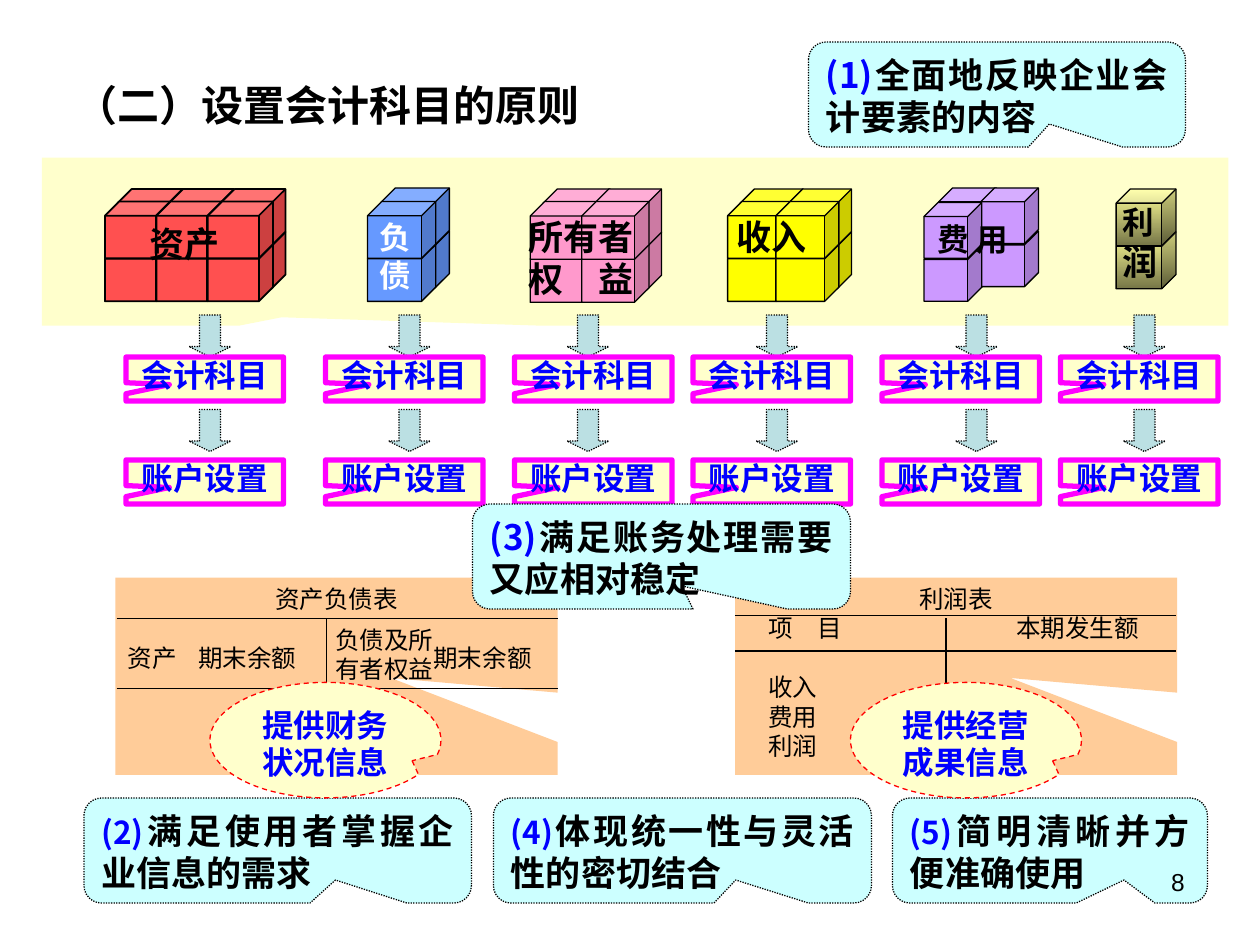
import pptx
import pptx.dml.color
import pptx.enum.dml
import pptx.enum.shapes
import pptx.enum.text
import pptx.oxml.ns
import pptx.util
from lxml import etree

SHAPE = pptx.enum.shapes.MSO_SHAPE
ALIGN = pptx.enum.text.PP_ALIGN
DASH = pptx.enum.dml.MSO_LINE
qn = pptx.oxml.ns.qn

COLORS = {
    "black": "000000", "white": "FFFFFF", "blue": "0000FF", "red": "FF0000",
    "magenta": "FF00FF", "cream": "FFFFCC", "aqua": "CCFFFF", "teal": "BBE0E3",
    "peach": "FFCC99", "coral": "FF5050", "sky": "6699FF", "pink": "FF99CC",
    "yellow": "FFFF00", "violet": "CC99FF", "straw": "FFFF99", "olive": "767647",
}
SANS, SERIF, CJK = "Arial", "Times New Roman", "Noto Sans CJK SC"


def color(name):
    return pptx.dml.color.RGBColor.from_string(COLORS[name])


class Board:
    """Slide on a grid of 120 columns by 90 rows."""

    def __init__(self, deck):
        self.page = deck.slides.add_slide(deck.slide_layouts[6])
        self.column = deck.slide_width / 120
        self.row = deck.slide_height / 90

    def place(self, left, top, width, height):
        return (round(left * self.column), round(top * self.row),
                round(width * self.column), round(height * self.row))

    def shape(self, kind, area, fill, line=None, weight=0.75, dash=None, adjust=()):
        shape = self.page.shapes.add_shape(kind, *self.place(*area))
        shape.shadow.inherit = False
        for index, value in enumerate(adjust):
            shape.adjustments[index] = value
        if isinstance(fill, tuple):
            shape.fill.gradient()
            shape.fill.gradient_angle = 270
            for stop, name in zip(shape.fill.gradient_stops, fill):
                stop.color.rgb = color(name)
        else:
            shape.fill.solid()
            shape.fill.fore_color.rgb = color(fill)
        if line:
            shape.line.color.rgb = color(line)
            shape.line.width = pptx.util.Pt(weight)
            if dash:
                shape.line.dash_style = dash
        else:
            shape.line.fill.background()
        return shape

    def style(self, span, size, font=SANS, ink="black", bold=True):
        span.font.size = pptx.util.Pt(size)
        span.font.name = font
        span.font.bold = bold
        span.font.color.rgb = color(ink)
        etree.SubElement(span.font._element, qn("a:ea"), typeface=CJK)

    def fill_text(self, box, text, *style, align=ALIGN.CENTER, spacing=None):
        frame = box.text_frame
        frame.word_wrap = True
        frame.vertical_anchor = pptx.enum.text.MSO_ANCHOR.TOP
        frame.text = text
        for para in frame.paragraphs:
            para.alignment = align
            if spacing:
                para.line_spacing = spacing
            for span in para.runs:
                self.style(span, *style)
        return frame

    def label(self, area, text, *style, align=ALIGN.CENTER):
        box = self.page.shapes.add_textbox(*self.place(*area))
        return self.fill_text(box, text, *style, align=align)

    def rule(self, left, top, right, bottom):
        start, end = self.place(left, top, 0, 0), self.place(right, bottom, 0, 0)
        line = self.page.shapes.add_connector(
            pptx.enum.shapes.MSO_CONNECTOR.STRAIGHT, *start[:2], *end[:2])
        line.line.color.rgb = color("black")
        line.line.width = pptx.util.Pt(0.75)
        etree.SubElement(line._element.spPr, qn("a:effectLst"))

    def principle(self, area, number, text, tail, size=18):
        box = self.shape(SHAPE.ROUNDED_RECTANGULAR_CALLOUT, area, "aqua", "black",
                         dash=DASH.ROUND_DOT, adjust=(tail, 0.281, 0.167))
        frame = self.fill_text(box, number, size, CJK, "blue", align=ALIGN.JUSTIFY)
        span = frame.paragraphs[0].add_run()
        span.text = text
        self.style(span, 20)

    def cubes(self, left, top, size, step, back, front, shift, fill, weight=0.75):
        layers = ((back, shift), (front, 0))
        for count, offset in layers:
            for index in range(count):
                for level in (4.1, 0):
                    area = (left + offset + index * step, top - offset + level, *size)
                    self.shape(SHAPE.CUBE, area, fill, "black", weight, adjust=(0.25,))

    def arrow(self, left, top):
        self.shape(SHAPE.DOWN_ARROW, (left, top, 4, 4), "teal", "black",
                   dash=DASH.ROUND_DOT, adjust=(0.5, 0.25))

    def tag(self, left, top, text):
        box = self.shape(SHAPE.RECTANGULAR_CALLOUT, (left, top, 15, 4.2), "cream",
                         "magenta", 3, adjust=(-0.225, 0.126))
        self.fill_text(box, text, 18, SANS, "blue", spacing=0.8)

    def statement(self, left, lines, gap_before, stops):
        panel = self.shape(SHAPE.RECTANGULAR_CALLOUT, (left, 55, 42.1, 18.8), "peach",
                           adjust=(0.123, 0.009))
        frame = self.fill_text(panel, "\n".join(lines), 14, SERIF, "black", False)
        frame.paragraphs[gap_before].space_before = pptx.util.Pt(17)
        for para in frame.paragraphs[1:]:
            para.alignment = ALIGN.LEFT
            tabs = etree.SubElement(para._p.get_or_add_pPr(), qn("a:tabLst"))
            for stop in stops:
                etree.SubElement(tabs, qn("a:tab"), pos=str(round(stop * self.column)), algn="l")

    def purpose(self, left, text):
        bubble = self.shape(SHAPE.OVAL_CALLOUT, (left, 65, 22, 11), "cream", "red",
                            dash=DASH.DASH, adjust=(0.375, 0.178))
        self.fill_text(bubble, text, 18, SANS, "blue")


def main():
    deck = pptx.Presentation()
    deck.slide_width = pptx.util.Inches(10)
    deck.slide_height = pptx.util.Inches(7.5)
    board = Board(deck)

    # Title and outer principles
    board.label((6, 7, 70, 7), "（二）设置会计科目的原则", 24, align=ALIGN.LEFT)
    board.principle((77, 4, 35.9, 10), "(1)", "全面地反映企业会计要素的内容", 0.139, 20)
    board.principle((8, 76, 36.9, 10), "(2)", "满足使用者掌握企业信息的需求", 0.149)
    board.principle((47, 76, 36, 10), "(4)", "体现统一性与灵活性的密切结合", 0.141)
    board.principle((85, 76, 30, 10), "(5)", "简明清晰并方便准确使用", 0.235)

    # Band with the six accounting elements as cube stacks
    board.shape(SHAPE.RECTANGULAR_CALLOUT, (4, 15, 113, 16), "cream", adjust=(-0.298, 0.451))
    board.cubes(10, 19.2, (6.2, 5.4), 4.9, 3, 3, 1.2, "coral", 1)
    board.cubes(35, 19.2, (6.5, 5.4), 0, 1, 1, 1.3, "sky")
    board.cubes(50.5, 19.2, (6.4, 5.5), 4.9, 2, 2, 1.2, "pink")
    board.cubes(69.3, 19.2, (6, 5.4), 4.6, 2, 2, 1.2, "yellow")
    board.cubes(88, 19.3, (5.5, 5.3), 4, 2, 1, 1.4, "violet")
    board.cubes(106.3, 18, (5.7, 5.4), 0, 0, 1, 0, ("straw", "olive"))
    board.label((11.8, 20.6, 11.5, 6.7), "资产", 20, SERIF)
    board.label((35, 20.2, 4.7, 5.9), "负债", 18, SERIF, "white")
    board.label((48.8, 19.9, 13.1, 8.9), "所有者\n权　益", 20, SERIF)
    board.label((69, 19.9, 10.4, 6.7), "收入", 20, SERIF, align=ALIGN.LEFT)
    board.label((87.8, 20.4, 9.7, 6.6), "费 用", 18, SERIF)
    profit = board.label((105.7, 18.7, 5.4, 9.7), "利", 18, SERIF)
    span = profit.paragraphs[0].add_run()
    span.text = "润"
    board.style(span, 20, SERIF)

    # Each element leads to a subject, then to an account
    tag_columns = (12, 31, 49, 66, 84, 101)
    arrow_columns = (18, 37, 54, 72, 91, 107)
    for arrow_top, tag_top, text in ((30, 34, "会计科目"), (39, 43.8, "账户设置")):
        for left in arrow_columns:
            board.arrow(left, arrow_top)
        for left in tag_columns:
            board.tag(left, tag_top, text)

    # Balance sheet
    board.statement(11, ("资产负债表", "资产\t期末余额\t期末余额"), 1, (6.7, 29.1))
    board.label((30.1, 58.9, 13, 7), "负债及所有者权益", 14, SERIF, "black", False)
    for top in (58.9, 65.6):
        board.rule(11.1, top, 53.1, top)
    board.rule(31.1, 58.9, 31.1, 73.9)

    # Income statement
    board.statement(70, ("利润表", "\t项　目\t本期发生额", "\t收入", "\t费用", "\t利润"),
                    2, (2, 25.6))
    for top in (58.6, 62):
        board.rule(70, top, 112, top)
    board.rule(90.1, 58.9, 90.1, 73.9)

    # What each statement provides
    board.purpose(20, "提供财务状况信息")
    board.purpose(81, "提供经营成果信息")

    # Central principle and page number
    board.principle((45, 48, 36, 10), "(3)", "满足账务处理需要又应相对稳定", 0.054, 20)
    board.label((86, 82, 28, 6.2), "8", 14, SANS, "black", False, align=ALIGN.RIGHT)
    deck.save("out.pptx")


if __name__ == "__main__":
    main()
